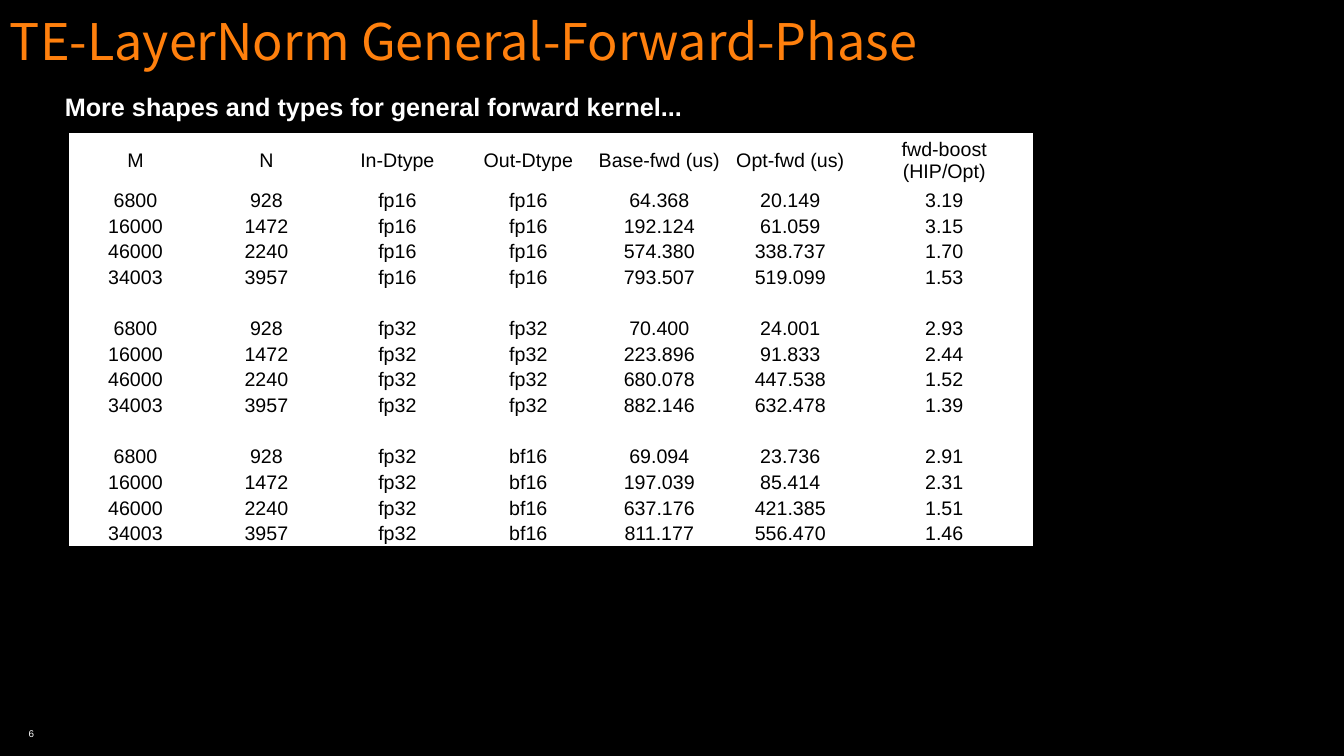
from dataclasses import dataclass

from lxml.etree import SubElement
from pptx import Presentation
from pptx.dml.color import RGBColor
from pptx.enum.shapes import MSO_SHAPE
from pptx.enum.text import MSO_ANCHOR, PP_ALIGN
from pptx.oxml.ns import qn
from pptx.util import Pt

# Content
TITLE = "TE-LayerNorm General-Forward-Phase"
SUBTITLE = "More shapes and types for general forward kernel..."
PAGE_NUMBER = "6"
HEADER = ("M", "N", "In-Dtype", "Out-Dtype", "Base-fwd (us)", "Opt-fwd (us)",
          "fwd-boost\v(HIP/Opt)")
SIZES = (("6800", "928"), ("16000", "1472"), ("46000", "2240"), ("34003", "3957"))
# (input type, output type): base time, optimised time and boost for each size
TIMINGS = {
    ("fp16", "fp16"): (("64.368", "20.149", "3.19"), ("192.124", "61.059", "3.15"),
                       ("574.380", "338.737", "1.70"), ("793.507", "519.099", "1.53")),
    ("fp32", "fp32"): (("70.400", "24.001", "2.93"), ("223.896", "91.833", "2.44"),
                       ("680.078", "447.538", "1.52"), ("882.146", "632.478", "1.39")),
    ("fp32", "bf16"): (("69.094", "23.736", "2.91"), ("197.039", "85.414", "2.31"),
                       ("637.176", "421.385", "1.51"), ("811.177", "556.470", "1.46")),
}


@dataclass(frozen=True)
class Theme:
    black: str = "000000"
    white: str = "FFFFFF"
    orange: str = "FF800D"
    body_font: str = "Arial"
    title_font: str = "Noto Sans CJK SC"
    title_size: int = 36
    subtitle_size: int = 18
    table_size: int = 14
    number_size: int = 7
    border_width: int = 1


THEME = Theme()

# Layout in px
SLIDE_W, SLIDE_H = 1344, 756
TITLE_BOX = (0, 0, SLIDE_W, 80)
SUBTITLE_BOX = (55, 86, 838, 40)
NUMBER_BOX = (21, 723, 13, 21)
TABLE_X, TABLE_Y = 70, 134
COLUMN_WIDTHS = [131] * 6 + [177]
HEADER_H, BODY_H = 52, 359
CELL_INSET = 1


def px(length):
    return round(length * 914400 / 100.8)


def style(paragraph, size, color, font=THEME.body_font, bold=False, align=PP_ALIGN.LEFT):
    paragraph.alignment = align
    paragraph.font.size = Pt(size)
    paragraph.font.name = font
    paragraph.font.bold = bold
    paragraph.font.color.rgb = RGBColor.from_string(color)


def add_label(slide, box, text):
    frame = slide.shapes.add_textbox(*map(px, box)).text_frame
    frame.word_wrap = True
    frame.text = text
    return frame


def add_borders(cell):
    properties = cell._tc.get_or_add_tcPr()
    for position, side in enumerate(("lnL", "lnR", "lnT", "lnB")):
        line = properties.makeelement(qn(f"a:{side}"), {"w": str(Pt(THEME.border_width))})
        fill = SubElement(line, qn("a:solidFill"))
        SubElement(fill, qn("a:srgbClr"), val=THEME.white)
        properties.insert(position, line)


def fill_cell(cell, text, anchor):
    cell.fill.solid()
    cell.fill.fore_color.rgb = RGBColor.from_string(THEME.white)
    add_borders(cell)
    cell.vertical_anchor = anchor
    cell.margin_left = cell.margin_right = cell.margin_top = px(CELL_INSET)
    cell.margin_bottom = 0
    paragraph = cell.text_frame.paragraphs[0]
    paragraph.text = text
    style(paragraph, THEME.table_size, THEME.black, align=PP_ALIGN.CENTER)
    if not text:  # keeps the separator rows as low as the others
        SubElement(paragraph._p, qn("a:endParaRPr"), sz=str(THEME.table_size * 100))


def table_rows():
    rows = [HEADER]
    for types, timings in TIMINGS.items():
        if len(rows) > 1:
            rows.append([""] * len(HEADER))
        rows += [size + types + timing for size, timing in zip(SIZES, timings)]
    return rows


def add_timing_table(slide):
    rows = table_rows()
    table = slide.shapes.add_table(
        len(rows), len(HEADER), px(TABLE_X), px(TABLE_Y),
        px(sum(COLUMN_WIDTHS)), px(HEADER_H + BODY_H)).table
    table.first_row = table.horz_banding = False
    for column, width in zip(table.columns, COLUMN_WIDTHS):
        column.width = px(width)
    for index, (row, texts) in enumerate(zip(table.rows, rows)):
        row.height = px(BODY_H / (len(rows) - 1) if index else HEADER_H)
        anchor = MSO_ANCHOR.BOTTOM if index else MSO_ANCHOR.MIDDLE
        for cell, text in zip(row.cells, texts):
            fill_cell(cell, text, anchor)


def main():
    deck = Presentation()
    deck.slide_width, deck.slide_height = px(SLIDE_W), px(SLIDE_H)
    slide = deck.slides.add_slide(deck.slide_layouts[6])
    slide.background.fill.solid()
    slide.background.fill.fore_color.rgb = RGBColor.from_string(THEME.black)

    # Page number
    number = add_label(slide, NUMBER_BOX, PAGE_NUMBER)
    number.word_wrap = False
    number.margin_left = number.margin_right = 0
    number.vertical_anchor = MSO_ANCHOR.MIDDLE
    style(number.paragraphs[0], THEME.number_size, THEME.white, align=PP_ALIGN.RIGHT)

    # Title bar
    title = slide.shapes.add_shape(MSO_SHAPE.RECTANGLE, *map(px, TITLE_BOX))
    title.shadow.inherit = False
    title.fill.solid()
    title.fill.fore_color.rgb = RGBColor.from_string(THEME.black)
    title.line.fill.background()
    title.text_frame.text = TITLE
    title.text_frame.vertical_anchor = MSO_ANCHOR.MIDDLE
    style(title.text_frame.paragraphs[0], THEME.title_size, THEME.orange, THEME.title_font)

    # Subtitle and timings
    subtitle = add_label(slide, SUBTITLE_BOX, SUBTITLE)
    style(subtitle.paragraphs[0], THEME.subtitle_size, THEME.white, bold=True)
    add_timing_table(slide)

    deck.save("out.pptx")


if __name__ == "__main__":
    main()
